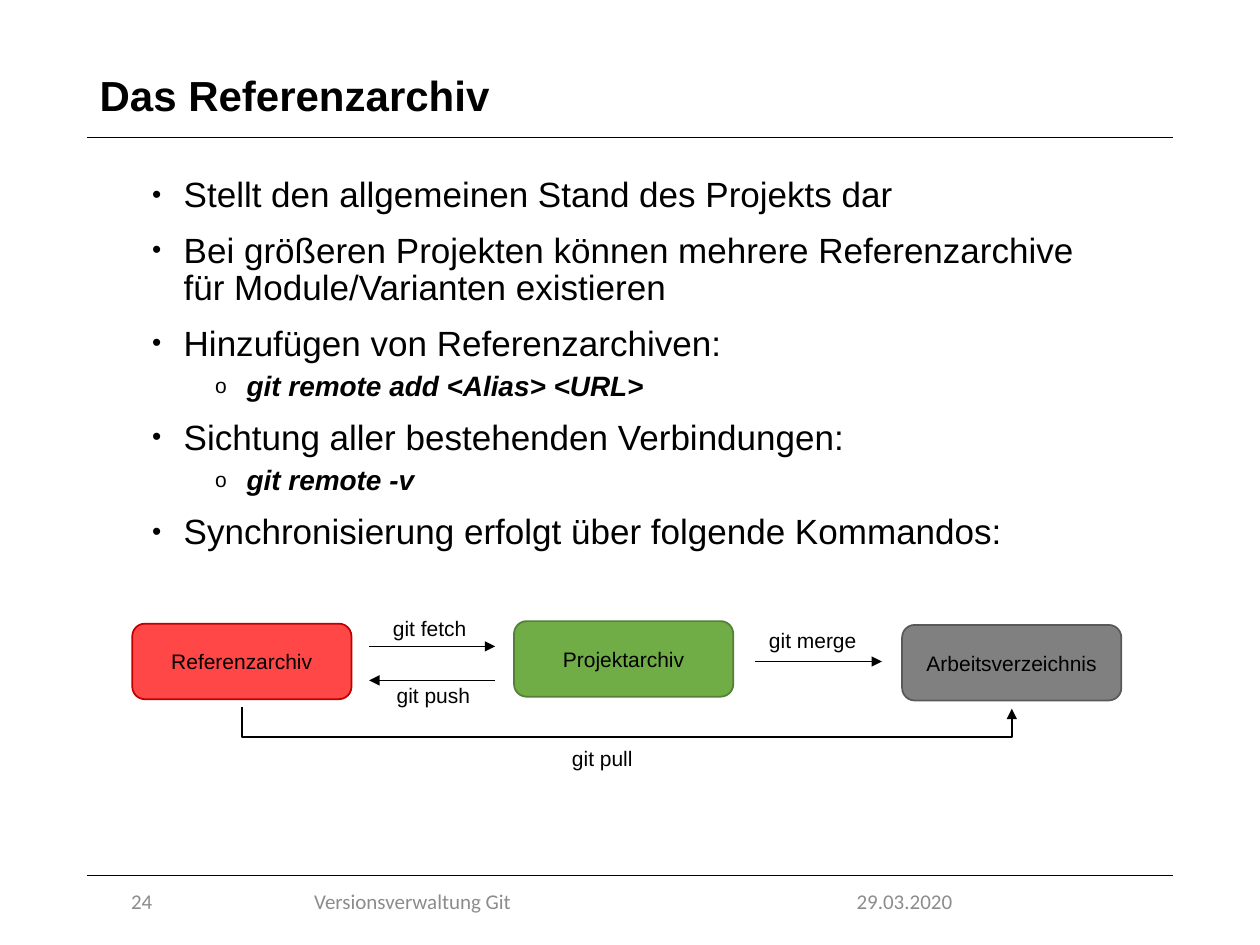
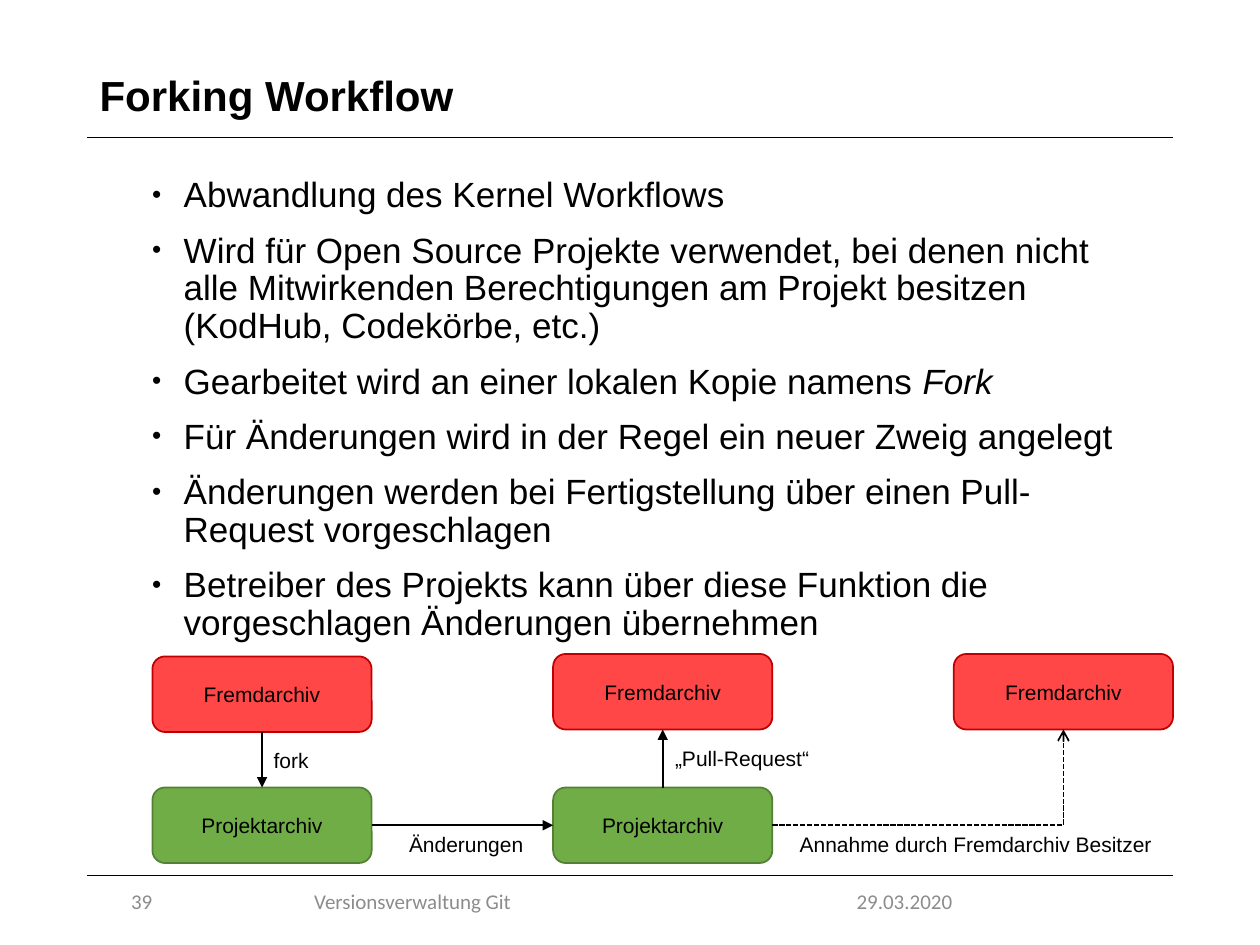
from typing import NamedTuple, Optional

from lxml import etree
from pptx import Presentation
from pptx import util as u
from pptx.dml import color as dml_color
from pptx.enum import dml, shapes, text
from pptx.oxml import ns

# Shared look
COLORS = {
    "ink": "000000",
    "footer": "8C8C8C",
    "red": "FF4747",
    "red_edge": "C00000",
    "green": "70AD47",
    "green_edge": "538035",
    "gray": "808080",
    "gray_edge": "595959",
}
BODY_FONT = "Arial"
FOOTER_FONT = "Calibri"
RULE_LEFT, RULE_RIGHT = 0.69, 9.31
HEADER_RULE, FOOTER_RULE = 1.09, 6.95
BOX_WIDTH, BOX_HEIGHT = 1.74, 0.6
TOP, LEFT, BOTTOM, RIGHT = range(4)
TITLE_ONLY = 5


class Span(NamedTuple):
    text: str
    bold: bool = False
    italic: bool = False


class Bullet(NamedTuple):
    spans: list[Span]
    level: int = 0


class BulletStyle(NamedTuple):
    indent: float
    space_before: int
    size: int
    mark: str


class Node(NamedTuple):
    text: str
    left: float
    top: float
    color: str


class Label(NamedTuple):
    text: str
    left: float
    top: float
    width: float = 1.52


class Footer(NamedTuple):
    text: str
    left: float
    width: float
    align: text.PP_ALIGN = text.PP_ALIGN.CENTER


class Arrow(NamedTuple):
    start: tuple[float, float]
    end: tuple[float, float]


class Link(NamedTuple):
    source: int
    source_side: int
    target: int
    target_side: int


BULLET_STYLES = [BulletStyle(0.25, 10, 20, "•"), BulletStyle(0.75, 5, 16, "o")]


def rgb(name: str) -> dml_color.RGBColor:
    return dml_color.RGBColor.from_string(COLORS[name])


def point(text_line: str) -> Bullet:
    return Bullet([Span(text_line)])


def command(text_line: str) -> Bullet:
    return Bullet([Span(text_line, bold=True, italic=True)], level=1)


# Text
def add_span(para, span: Span, size: int, font: str = BODY_FONT, color: str = "ink") -> None:
    run = para.add_run()
    run.text = span.text
    run.font.name = font
    run.font.size = u.Pt(size)
    run.font.bold = span.bold
    run.font.italic = span.italic
    run.font.color.rgb = rgb(color)


def add_text_box(page, left: float, top: float, width: float, height: float):
    box = page.shapes.add_textbox(*map(u.Inches, (left, top, width, height)))
    box.text_frame.word_wrap = True
    return box


def add_label(page, label: Label) -> None:
    box = add_text_box(page, label.left, label.top, label.width, 0.3)
    box.text_frame.auto_size = text.MSO_AUTO_SIZE.SHAPE_TO_FIT_TEXT
    para = box.text_frame.paragraphs[0]
    para.alignment = text.PP_ALIGN.CENTER
    add_span(para, Span(label.text), 12)


def add_bullets(page, bullets: list[Bullet]) -> None:
    frame = add_text_box(page, 1.11, 1.36, 7.84, 5.39).text_frame
    for index, bullet in enumerate(bullets):
        para = frame.add_paragraph() if index else frame.paragraphs[0]
        style = BULLET_STYLES[bullet.level]
        para.level = bullet.level
        para.line_spacing = 0.9
        para.space_before = u.Pt(style.space_before)
        for span in bullet.spans:
            add_span(para, span, style.size)
        props = para._p.get_or_add_pPr()
        props.set("marL", str(u.Inches(style.indent)))
        props.set("indent", str(u.Inches(-0.25)))
        etree.SubElement(props, ns.qn("a:buSzPct"), val="75000")
        etree.SubElement(props, ns.qn("a:buFont"), typeface=BODY_FONT)
        etree.SubElement(props, ns.qn("a:buChar"), char=style.mark)


# Boxes and lines
def add_node(page, node: Node):
    box = page.shapes.add_shape(
        shapes.MSO_SHAPE.ROUNDED_RECTANGLE,
        *map(u.Inches, (node.left, node.top, BOX_WIDTH, BOX_HEIGHT)),
    )
    box.shadow.inherit = False
    box.fill.solid()
    box.fill.fore_color.rgb = rgb(node.color)
    box.line.color.rgb = rgb(node.color + "_edge")
    box.line.width = u.Pt(1)
    box.text_frame.vertical_anchor = text.MSO_ANCHOR.MIDDLE
    para = box.text_frame.paragraphs[0]
    para.alignment = text.PP_ALIGN.CENTER
    add_span(para, Span(node.text), 12)
    return box


def add_line(page, arrow: Arrow, width: float = 1, head: Optional[str] = "triangle",
             kind: shapes.MSO_CONNECTOR = shapes.MSO_CONNECTOR.STRAIGHT):
    line = page.shapes.add_connector(kind, *map(u.Inches, (*arrow.start, *arrow.end)))
    line.line.color.rgb = rgb("ink")
    line.line.width = u.Pt(width)
    if head:
        etree.SubElement(line.line._get_or_add_ln(), ns.qn("a:tailEnd"), type=head)
    etree.SubElement(line._element.spPr, ns.qn("a:effectLst"))
    return line


def join(line, boxes: list, link: Link) -> None:
    line.begin_connect(boxes[link.source], link.source_side)
    line.end_connect(boxes[link.target], link.target_side)


def add_pull_arrow(page) -> None:
    """Elbow that drops below the boxes: an upright connector turned by 270 degrees."""
    left, right, level, drop, offset = 1.92, 8.03, 5.62, 0.24, 0.01
    middle, half = (left + right) / 2, (right - left) / 2
    line = add_line(
        page,
        Arrow((middle + offset / 2, level - half), (middle - offset / 2, level + half)),
        kind=shapes.MSO_CONNECTOR.ELBOW,
    )
    props = line._element.spPr
    props.find(ns.qn("a:xfrm")).set("rot", str(270 * 60000))
    guides = props.find(ns.qn("a:prstGeom")).find(ns.qn("a:avLst"))
    bend = round(drop / offset * 100000)
    etree.SubElement(guides, ns.qn("a:gd"), name="adj1", fmla=f"val {bend}")


def add_acceptance_arrow(page, boxes: list, link: Link) -> None:
    """Dashed elbow with a single corner."""
    line = add_line(page, Arrow((6.13, 6.55), (8.44, 5.8)), head="arrow",
                    kind=shapes.MSO_CONNECTOR.ELBOW)
    line.line.dash_style = dml.MSO_LINE.SQUARE_DOT
    line._element.spPr.find(ns.qn("a:prstGeom")).set("prst", "bentConnector2")
    join(line, boxes, link)


# Page frame: title, rules and footer
def add_page(deck, title: str, number: int):
    page = deck.slides.add_slide(deck.slide_layouts[TITLE_ONLY])
    heading = page.shapes.title
    heading.left, heading.top = u.Inches(RULE_LEFT), u.Inches(0.4)
    heading.width, heading.height = u.Inches(RULE_RIGHT - RULE_LEFT), u.Inches(0.76)
    frame = heading.text_frame
    frame.auto_size = text.MSO_AUTO_SIZE.NONE
    frame.vertical_anchor = text.MSO_ANCHOR.MIDDLE
    para = frame.paragraphs[0]
    para.alignment = text.PP_ALIGN.LEFT
    para.line_spacing = 0.9
    add_span(para, Span(title, bold=True), 24)

    for level in (HEADER_RULE, FOOTER_RULE):
        add_line(page, Arrow((RULE_LEFT, level), (RULE_RIGHT, level)), 0.5, head=None)

    for footer in (
        Footer(str(number), 0, 2.25),
        Footer("Versionsverwaltung Git", 1.25, 4.05),
        Footer("29.03.2020", 6.7, 2.25, text.PP_ALIGN.LEFT),
    ):
        box = add_text_box(page, footer.left, FOOTER_RULE, footer.width, 0.4)
        box.text_frame.vertical_anchor = text.MSO_ANCHOR.MIDDLE
        para = box.text_frame.paragraphs[0]
        para.alignment = footer.align
        add_span(para, Span(footer.text), 12, FOOTER_FONT, "footer")
    return page


# Slide: reference archive
def build_reference_archive(deck) -> None:
    page = add_page(deck, "Das Referenzarchiv", 24)
    add_bullets(page, [
        point("Stellt den allgemeinen Stand des Projekts dar"),
        point("Bei größeren Projekten können mehrere Referenzarchive "
              "für Module/Varianten existieren"),
        point("Hinzufügen von Referenzarchiven:"),
        command("git remote add <Alias> <URL>"),
        point("Sichtung aller bestehenden Verbindungen:"),
        command("git remote -v"),
        point("Synchronisierung erfolgt über folgende Kommandos:"),
    ])
    for node in (
        Node("Referenzarchiv", 1.05, 4.95, "red"),
        Node("Projektarchiv", 4.08, 4.93, "green"),
        Node("Arbeitsverzeichnis", 7.16, 4.96, "gray"),
    ):
        add_node(page, node)
    for arrow in (
        Arrow((2.93, 5.13), (3.93, 5.13)),
        Arrow((3.93, 5.4), (2.93, 5.4)),
        Arrow((5.99, 5.25), (7, 5.25)),
    ):
        add_line(page, arrow)
    add_pull_arrow(page)
    for label in (
        Label("git fetch", 2.65, 4.84),
        Label("git push", 2.68, 5.37),
        Label("git merge", 5.69, 4.93),
        Label("git pull", 4.02, 5.87),
    ):
        add_label(page, label)


# Slide: forking workflow
def build_forking_workflow(deck) -> None:
    page = add_page(deck, "Forking Workflow", 39)
    add_bullets(page, [
        point("Abwandlung des Kernel Workflows"),
        point("Wird für Open Source Projekte verwendet, bei denen nicht alle Mitwirkenden "
              "Berechtigungen am Projekt besitzen (KodHub, Codekörbe, etc.)"),
        Bullet([Span("Gearbeitet wird an einer lokalen Kopie namens "),
                Span("Fork", italic=True)]),
        point("Für Änderungen wird in der Regel ein neuer Zweig angelegt"),
        point("Änderungen werden bei Fertigstellung über einen Pull-Request vorgeschlagen"),
        point("Betreiber des Projekts kann über diese Funktion die "
              "vorgeschlagen Änderungen übernehmen"),
    ])
    columns = [1.21 + 3.18 * index for index in range(3)]
    foreign = [Node("Fremdarchiv", left, top, "red")
               for left, top in zip(columns, (5.21, 5.19, 5.19))]
    project = [Node("Projektarchiv", left, 6.25, "green") for left in columns[:2]]
    boxes = [add_node(page, node) for node in foreign + project]
    for link in (
        Link(0, BOTTOM, 3, TOP),
        Link(3, RIGHT, 4, LEFT),
        Link(4, TOP, 1, BOTTOM),
    ):
        join(add_line(page, Arrow((0, 0), (1, 1))), boxes, link)
    add_acceptance_arrow(page, boxes, Link(4, RIGHT, 2, BOTTOM))
    for label in (
        Label("fork", 1.55, 5.88),
        Label("Änderungen", 2.94, 6.55),
        Label("„Pull-Request“", 5.13, 5.87),
        Label("Annahme durch Fremdarchiv Besitzer", 6.19, 6.55, 3.11),
    ):
        add_label(page, label)


def main() -> None:
    deck = Presentation()
    deck.slide_width, deck.slide_height = u.Inches(10), u.Inches(7.5)
    build_reference_archive(deck)
    build_forking_workflow(deck)
    deck.save("out.pptx")


if __name__ == "__main__":
    main()
